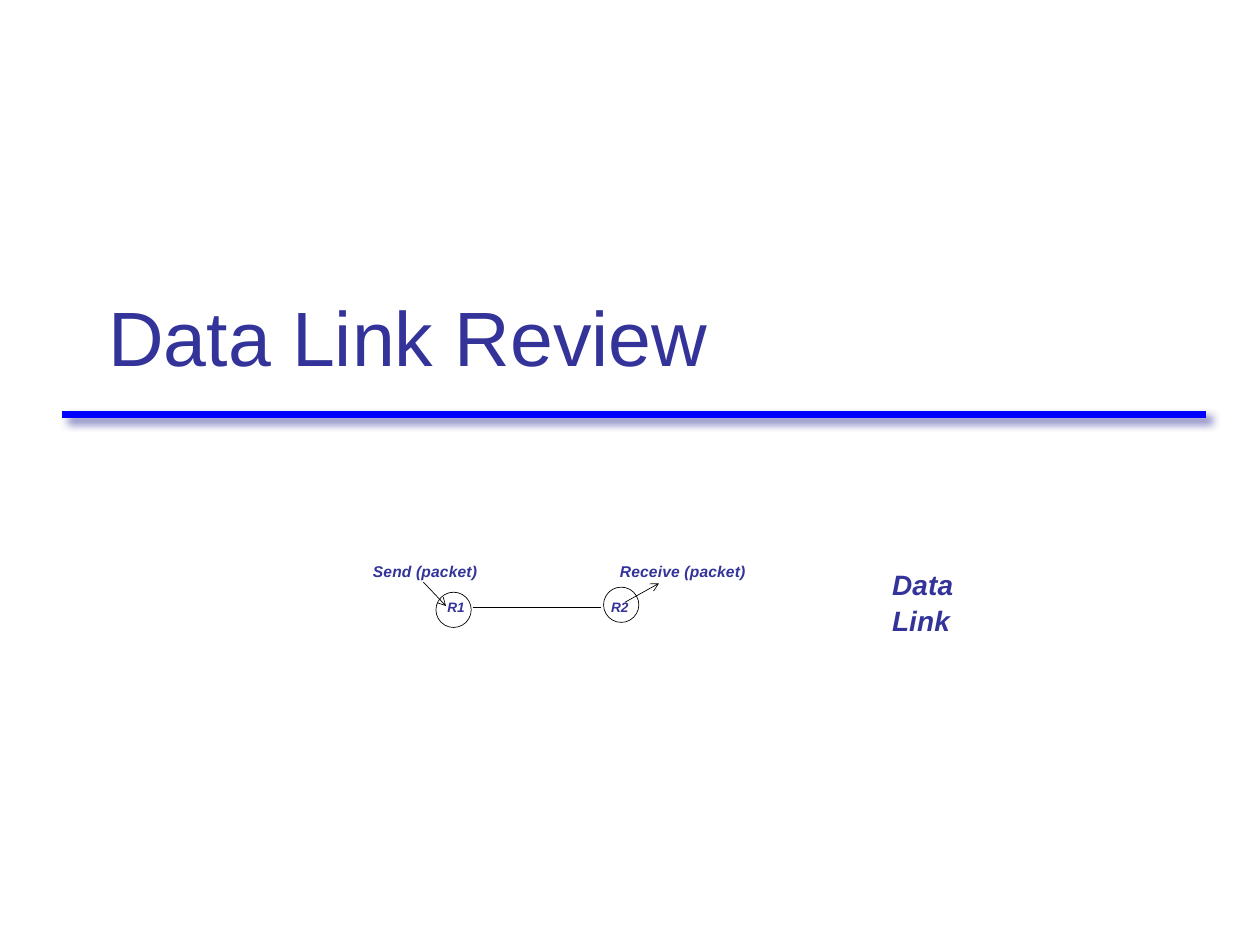
from dataclasses import dataclass

import lxml.etree
import pptx
import pptx.dml.color
import pptx.enum.shapes
import pptx.enum.text
import pptx.oxml.ns
import pptx.util

COLUMNS, ROWS = 100, 75
INK, NAVY, BLUE = "000000", "333399", "0000FF"
FONT = "Arial"
THIN = 0.41
ROUTER_SIZE = 2.8

deck = pptx.Presentation()
deck.slide_width = pptx.util.Inches(10)
deck.slide_height = pptx.util.Inches(7.5)


@dataclass(frozen=True)
class Router:
    column: float
    row: float


@dataclass(frozen=True)
class Line:
    start: tuple[float, float]
    end: tuple[float, float]
    color: str = INK
    width: float = THIN
    arrow: bool = False
    shadow: bool = False


@dataclass(frozen=True)
class Label:
    text: str
    column: float
    row: float
    columns: float
    rows: float
    size: float
    letter_spacing: int = 0
    line_spacing: float = 1.0
    wrap: bool = False


def x(column: float) -> int:
    return round(deck.slide_width * column / COLUMNS)


def y(row: float) -> int:
    return round(deck.slide_height * row / ROWS)


def rgb(color: str) -> pptx.dml.color.RGBColor:
    return pptx.dml.color.RGBColor.from_string(color)


def add_child(parent, tag: str, **attributes: str):
    child = lxml.etree.SubElement(parent, pptx.oxml.ns.qn(tag))
    for key, value in attributes.items():
        child.set(key, value)
    return child


def draw_line(slide, line: Line) -> None:
    connector = slide.shapes.add_connector(
        pptx.enum.shapes.MSO_CONNECTOR.STRAIGHT,
        x(line.start[0]), y(line.start[1]), x(line.end[0]), y(line.end[1]))
    connector.line.color.rgb = rgb(line.color)
    connector.line.width = pptx.util.Pt(line.width)
    if line.arrow:
        add_child(connector.line._get_or_add_ln(), "a:tailEnd",
                  type="arrow", w="sm", len="sm")
    effects = add_child(connector._element.spPr, "a:effectLst")
    if line.shadow:
        cast = add_child(effects, "a:outerShdw", blurRad=str(pptx.util.Pt(5)),
                         dist=str(pptx.util.Pt(4.2)), dir="2700000", rotWithShape="0")
        tint = add_child(cast, "a:srgbClr", val=NAVY)
        add_child(tint, "a:alpha", val="75000")


def draw_router(slide, router: Router) -> None:
    circle = slide.shapes.add_shape(
        pptx.enum.shapes.MSO_SHAPE.OVAL,
        x(router.column), y(router.row), x(ROUTER_SIZE), y(ROUTER_SIZE))
    circle.shadow.inherit = False
    circle.fill.background()
    circle.line.color.rgb = rgb(INK)
    circle.line.width = pptx.util.Pt(THIN)


def set_font(paragraph, size: float, emphasis: bool) -> None:
    font = paragraph.font
    font.name = FONT
    font.size = pptx.util.Pt(size)
    font.color.rgb = rgb(NAVY)
    font.bold = font.italic = emphasis


def draw_label(slide, label: Label) -> None:
    box = slide.shapes.add_textbox(
        x(label.column), y(label.row), x(label.columns), y(label.rows))
    frame = box.text_frame
    frame.margin_left = frame.margin_right = frame.margin_top = frame.margin_bottom = 0
    frame.word_wrap = label.wrap
    paragraph = frame.paragraphs[0]
    paragraph.line_spacing = label.line_spacing
    run = paragraph.add_run()
    run.text = label.text
    if label.letter_spacing:
        run._r.get_or_add_rPr().set("spc", str(label.letter_spacing))
    set_font(paragraph, label.size, True)


def draw_title(slide, text: str) -> None:
    title = slide.shapes.title
    title.left, title.top, title.width, title.height = x(7.6), y(8.3), x(85), y(22.5)
    frame = title.text_frame
    frame.text = text
    frame.vertical_anchor = pptx.enum.text.MSO_ANCHOR.BOTTOM
    frame.auto_size = pptx.enum.text.MSO_AUTO_SIZE.NONE
    paragraph = frame.paragraphs[0]
    paragraph.alignment = pptx.enum.text.PP_ALIGN.LEFT
    set_font(paragraph, 44, False)


ROUTERS = [Router(34.6, 47), Router(47.9, 46.6)]

LINES = [
    Line((4.9, 32.9), (95.7, 32.9), BLUE, 3.5, shadow=True),
    Line((37.5, 48.2), (47.7, 48.2)),
    Line((33.6, 46.2), (35.4, 48.1), arrow=True),
    Line((49.6, 47.8), (52.3, 46.3), arrow=True),
]

LABELS = [
    Label("R1", 35.5, 47.5, 1.6, 1.3, 7.8),
    Label("R2", 48.5, 47.5, 1.6, 1.3, 7.8),
    Label("Receive (packet)", 49.2, 44.6, 10.1, 1.5, 8.9, 10),
    Label("Send (packet)", 29.6, 44.6, 8.4, 1.5, 8.9, 10),
    Label("Data Link", 70.8, 44.9, 9.1, 5.7, 16, 10, 1.06, True),
]


def main() -> None:
    slide = deck.slides.add_slide(deck.slide_layouts[0])
    subtitle = slide.placeholders[1]._element
    subtitle.getparent().remove(subtitle)
    draw_title(slide, "Data Link Review")
    for router in ROUTERS:
        draw_router(slide, router)
    for line in LINES:
        draw_line(slide, line)
    for label in LABELS:
        draw_label(slide, label)
    deck.save("out.pptx")


if __name__ == "__main__":
    main()
